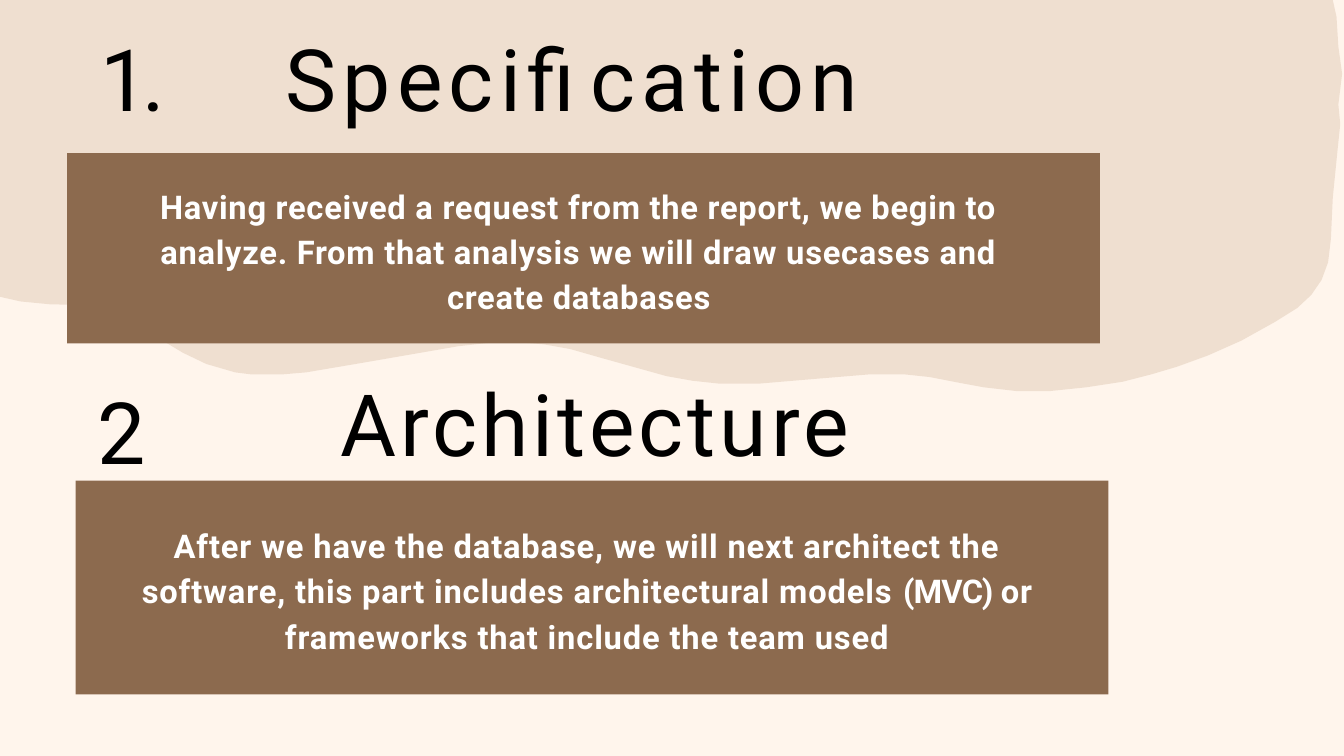
import pptx
import pptx.dml.color
import pptx.enum.shapes
import pptx.enum.text
import pptx.oxml
import pptx.oxml.ns
import pptx.util

Pt = pptx.util.Pt
RGBColor = pptx.dml.color.RGBColor

CREAM = RGBColor(0xFF, 0xF5, 0xEC)
SAND = RGBColor(0xDB, 0xC2, 0xAB)
BROWN = RGBColor(0x8C, 0x6A, 0x4E)
WHITE = RGBColor(0xFF, 0xFF, 0xFF)
BLACK = RGBColor(0, 0, 0)
FONT = "Roboto"
PANEL_WIDTH = 1106.5

# Outline of the sand-coloured wave, clockwise from the top left corner.
WAVE = [
    (0, 0), (1428, 0), (1432, 18), (1434, 50), (1438, 79), (1434, 112),
    (1436, 133), (1433, 162), (1428, 212), (1426, 256), (1423, 281),
    (1416, 300), (1405, 316), (1390, 330), (1366, 345), (1330, 365),
    (1294, 381), (1261, 393), (1234, 401), (1203, 409), (1164, 415),
    (1125, 419), (1089, 419), (1054, 415), (1027, 410), (996, 404),
    (968, 401), (933, 401), (873, 406), (814, 411), (770, 411),
    (742, 408), (714, 403), (646, 384), (611, 374), (583, 369),
    (559, 367), (527, 367), (491, 371), (387, 389), (328, 399),
    (304, 401), (268, 401), (252, 399), (221, 390), (196, 378),
    (141, 345), (116, 333), (93, 327), (53, 326), (22, 323), (0, 318),
]


def add_wave(page):
    builder = page.shapes.build_freeform(*WAVE[0], scale=Pt(1))
    builder.add_line_segments(WAVE[1:], close=True)
    wave = builder.convert_to_shape()
    wave.shadow.inherit = False
    wave.fill.solid()
    wave.fill.fore_color.rgb = SAND
    wave.line.fill.background()
    color = wave.fill._xPr.find(".//" + pptx.oxml.ns.qn("a:srgbClr"))
    alpha = pptx.oxml.parse_xml(
        f'<a:alpha {pptx.oxml.ns.nsdecls("a")} val="42000"/>')
    color.append(alpha)


def add_spaced_run(para, text, spacing):
    """Add a run whose letters are spaced by a number of points."""
    span = para.add_run()
    span.text = text
    span._r.get_or_add_rPr().set("spc", str(round(spacing * 100)))


def set_font(para, size, color, bold=False):
    font = para.font
    font.name, font.size, font.bold = FONT, Pt(size), bold
    font.color.rgb = color


def add_heading(page, left, top, width, runs, tab=None):
    box = page.shapes.add_textbox(Pt(left), Pt(top), Pt(width), Pt(112))
    frame = box.text_frame
    frame.word_wrap = True
    frame.margin_left = frame.margin_right = frame.margin_bottom = 0
    frame.margin_top = Pt(1)
    para = frame.paragraphs[0]
    if tab:
        para._p.get_or_add_pPr().append(pptx.oxml.parse_xml(
            f'<a:tabLst {pptx.oxml.ns.nsdecls("a")}>'
            f'<a:tab pos="{Pt(tab)}" algn="l"/></a:tabLst>'))
    para.space_before = Pt(1)
    set_font(para, 92, BLACK)
    for text, spacing in runs:
        add_spaced_run(para, text, spacing)


def add_panel(page, left, top, height, inset, runs):
    panel = page.shapes.add_shape(
        pptx.enum.shapes.MSO_SHAPE.RECTANGLE,
        Pt(left), Pt(top), Pt(PANEL_WIDTH), Pt(height))
    panel.shadow.inherit = False
    panel.fill.solid()
    panel.fill.fore_color.rgb = BROWN
    panel.line.fill.background()
    frame = panel.text_frame
    frame.word_wrap = True
    frame.vertical_anchor = pptx.enum.text.MSO_ANCHOR.MIDDLE
    frame.margin_left, frame.margin_right = Pt(inset), Pt(inset + 10)
    frame.margin_top = frame.margin_bottom = 0
    para = frame.paragraphs[0]
    para.alignment = pptx.enum.text.PP_ALIGN.CENTER
    para.line_spacing = 1.16
    set_font(para, 35, WHITE, bold=True)
    for text, spacing in runs:
        add_spaced_run(para, text, spacing)


def main():
    deck = pptx.Presentation()
    deck.slide_width, deck.slide_height = Pt(1440), Pt(810)
    page = deck.slides.add_slide(deck.slide_layouts[6])
    page.background.fill.solid()
    page.background.fill.fore_color.rgb = CREAM

    add_wave(page)
    add_panel(page, 72, 164, 204, 80, [
        ("Having received a request from the report, we begin to analyze. "
         "From that analysis we will draw usecases and create databases", 0.8),
    ])
    add_heading(page, 108, 26, 821, [("1.\t", -6.7), ("Specification", 6.7)],
                tab=198)
    add_heading(page, 364.5, 396.5, 572, [("Architecture", 4.3)])
    add_heading(page, 105, 404.5, 77, [("2", -0.7)])
    add_panel(page, 81, 515, 229, 55, [
        ("After we have the database, we will next architect the software, "
         "this part includes architectural models ", 0.9),
        ("(MVC) ", -0.9),
        ("or frameworks that include the team used", 0.9),
    ])
    deck.save("out.pptx")


if __name__ == "__main__":
    main()
